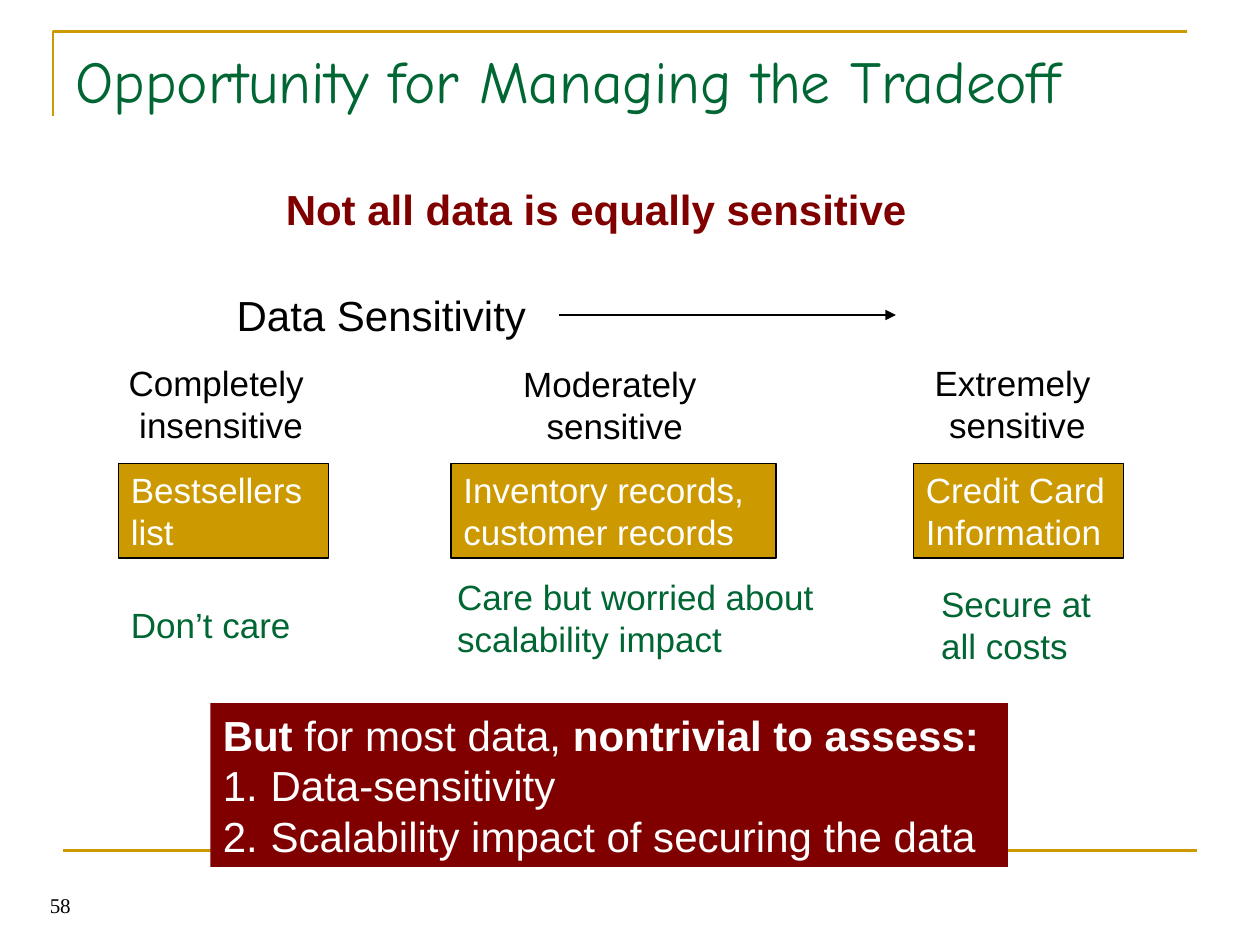
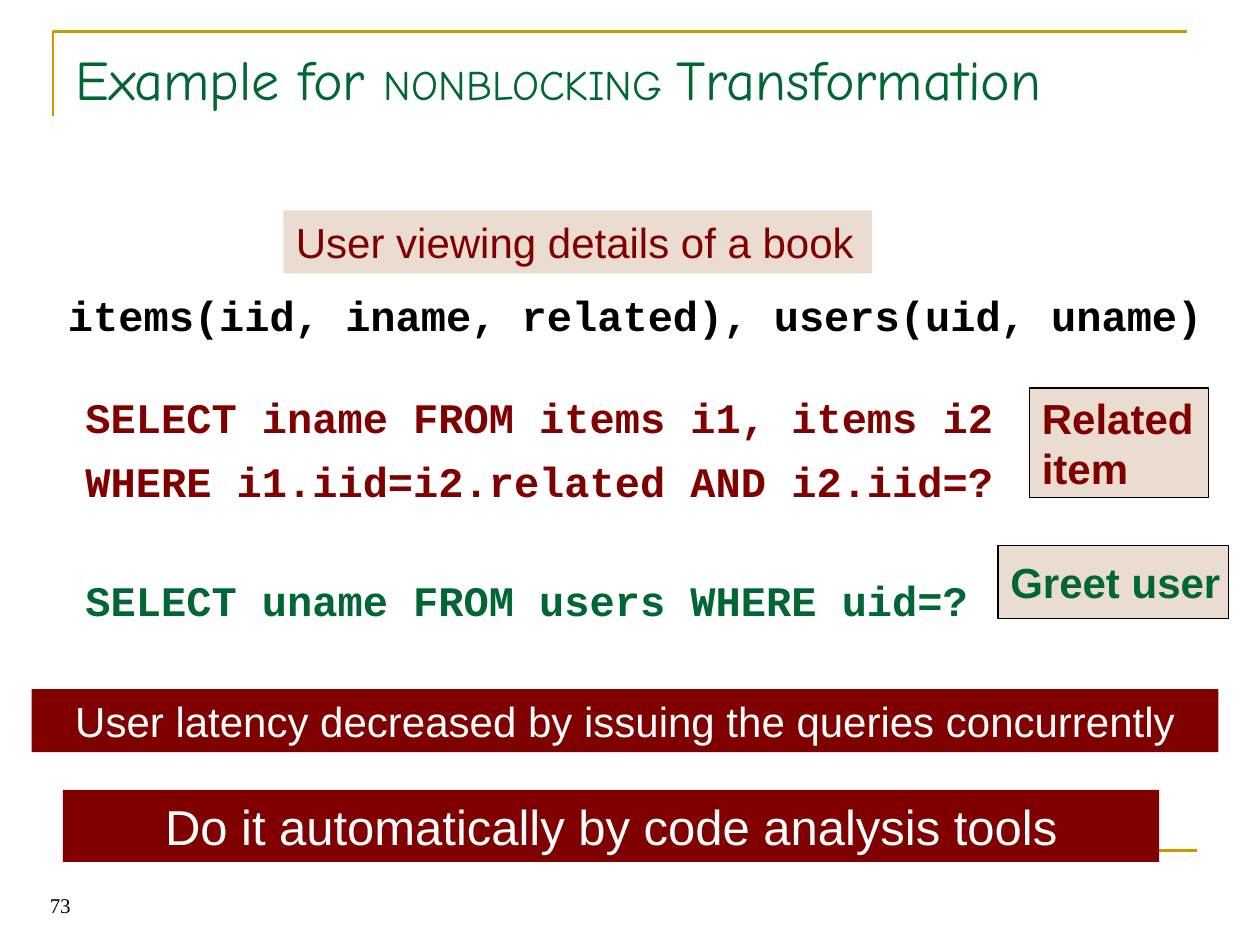
import pptx
import pptx.dml.color
import pptx.enum.shapes
import pptx.enum.text
import pptx.oxml.ns
import pptx.util
from lxml import etree

Inches = pptx.util.Inches
Pt = pptx.util.Pt
RGBColor = pptx.dml.color.RGBColor
ALIGN = pptx.enum.text.PP_ALIGN
ANCHOR = pptx.enum.text.MSO_ANCHOR
SHAPE = pptx.enum.shapes.MSO_SHAPE
CONNECTOR = pptx.enum.shapes.MSO_CONNECTOR

GOLD = RGBColor(0xCC, 0x99, 0x00)
GREEN = RGBColor(0x00, 0x66, 0x33)
MAROON = RGBColor(0x80, 0x00, 0x00)
SAND = RGBColor(0xEB, 0xDC, 0xD1)
BLACK = RGBColor(0x00, 0x00, 0x00)
WHITE = RGBColor(0xFF, 0xFF, 0xFF)

BODY = {"name": "Arial", "size": Pt(24), "bold": False}
SMALL = {**BODY, "size": Pt(20)}
STRONG = {**BODY, "bold": True}
CODE = {**STRONG, "name": "Courier New"}
TITLE = {**BODY, "name": "Comic Neue", "size": Pt(34)}
NUMBER = {**BODY, "name": "Times New Roman", "size": Pt(12)}

CENTERED = {"alignment": ALIGN.CENTER}


def apply(target, values):
    for name, value in values.items():
        setattr(target, name, value)


def add_child(parent, tag, **attributes):
    return etree.SubElement(parent, pptx.oxml.ns.qn(tag), attributes)


def write(box, paragraphs, font, color, layout=None, frame=None):
    """Fill a box; a paragraph is a string or a list of (text, font changes)."""
    apply(box.text_frame, {"word_wrap": True, "vertical_anchor": ANCHOR.TOP, **(frame or {})})
    for index, content in enumerate(paragraphs):
        para = box.text_frame.paragraphs[0] if index == 0 else box.text_frame.add_paragraph()
        apply(para, {"alignment": ALIGN.LEFT, **(layout or {})})
        for text, changes in [(content, {})] if isinstance(content, str) else content:
            span = para.add_run()
            span.text = text
            apply(span.font, {**font, **changes})
            span.font.color.rgb = color
    return box


def add_text(page, place, paragraphs, font, color, layout=None, frame=None):
    box = page.shapes.add_textbox(*map(Inches, place))
    return write(box, paragraphs, font, color, layout, frame)


def add_panel(page, place, fill, paragraphs, font, color, layout=None, frame=None, outlined=False):
    panel = page.shapes.add_shape(SHAPE.RECTANGLE, *map(Inches, place))
    panel.shadow.inherit = False
    panel.fill.solid()
    panel.fill.fore_color.rgb = fill
    if outlined:
        panel.line.color.rgb = BLACK
        panel.line.width = Pt(0.75)
    else:
        panel.line.fill.background()
    return write(panel, paragraphs, font, color, layout, frame)


def add_label(page, place, fill, paragraphs, font, color, outlined=True):
    """Add a panel whose lines never wrap and sit in its middle."""
    frame = {"word_wrap": False, "vertical_anchor": ANCHOR.MIDDLE}
    return add_panel(page, place, fill, paragraphs, font, color, frame=frame, outlined=outlined)


def add_rule(page, start, end, color):
    rule = page.shapes.add_connector(CONNECTOR.STRAIGHT, *map(Inches, (*start, *end)))
    rule.line.color.rgb = color
    rule.line.width = Pt(1.5)
    add_child(rule._element.spPr, "a:effectLst")
    return rule


def add_arrow(page, start, end, color):
    arrow = add_rule(page, start, end, color)
    add_child(arrow.line._get_or_add_ln(), "a:tailEnd", type="triangle")


def add_corner(page):
    builder = page.shapes.build_freeform(Inches(0.42), Inches(0.92))
    corner_points = [(0.42, 0.25), (9.42, 0.25)]
    builder.add_line_segments([tuple(map(Inches, point)) for point in corner_points], close=False)
    corner = builder.convert_to_shape()
    corner.shadow.inherit = False
    corner.fill.background()
    corner.line.color.rgb = GOLD
    corner.line.width = Pt(1.5)


def number_paragraphs(paragraphs):
    for para in paragraphs:
        properties = para._p.get_or_add_pPr()
        properties.set("marL", str(Inches(0.38)))
        properties.set("indent", str(-Inches(0.38)))
        add_child(properties, "a:buFont", typeface="Arial")
        add_child(properties, "a:buAutoNum", type="arabicPeriod")


def add_page(deck, title, number):
    page = deck.slides.add_slide(deck.slide_layouts[6])
    add_corner(page)
    add_rule(page, (0.5, 6.75), (9.5, 6.75), GOLD)
    add_text(page, (0.06, 6.83, 0.6, 0.5), [number], NUMBER, BLACK,
             {"alignment": ALIGN.RIGHT}, {"vertical_anchor": ANCHOR.BOTTOM})
    add_text(page, (0.5, 0.3, 9, 1.25), [title], TITLE, GREEN)
    return page


def build_tradeoff(deck):
    page = add_page(deck, "Opportunity for Managing the Tradeoff", "58")
    conclusion = add_panel(
        page, (1.67, 5.58, 6.33, 1.3), MAROON,
        [[("But ", {"bold": True}), ("for most data, ", {}), ("nontrivial to assess:", {"bold": True})],
         "Data-sensitivity", "Scalability impact of securing the data"],
        BODY, WHITE)
    number_paragraphs(conclusion.text_frame.paragraphs[1:])

    add_text(page, (1.78, 2.25, 2.5, 0.5), ["Data Sensitivity"], BODY, BLACK)
    add_arrow(page, (4.44, 2.5), (7.11, 2.5), BLACK)

    levels = [
        ((0.92, 2.82, 1.67, 0.77), ["Completely ", "insensitive"]),
        ((3.63, 2.83, 2.5, 0.77), ["Moderately ", "sensitive"]),
        ((7.27, 2.82, 1.61, 0.77), ["Extremely ", "sensitive"]),
    ]
    for place, lines in levels:
        add_text(page, place, lines, SMALL, BLACK, CENTERED)

    examples = [
        (0.94, 1.67, ["Bestsellers", "list"]),
        (3.58, 2.58, ["Inventory records,", "customer records"]),
        (7.25, 1.67, ["Credit Card", "Information"]),
    ]
    for left, width, lines in examples:
        add_label(page, (left, 3.68, width, 0.75), GOLD, lines, SMALL, WHITE)

    attitudes = [
        ((0.94, 4.74, 1.47, 0.44), ["Don’t care"]),
        ((3.53, 4.52, 3.31, 0.77), ["Care but worried about scalability impact"]),
        ((7.37, 4.57, 1.39, 0.77), ["Secure at", "all costs"]),
    ]
    for place, lines in attitudes:
        add_text(page, place, lines, SMALL, GREEN)

    add_text(page, (2.17, 1.33, 5.17, 0.58), ["Not all data is equally sensitive"],
             STRONG, MAROON, {"line_spacing": 1.2})


def build_nonblocking(deck):
    title = [("Example for ", {"size": Pt(32)}), ("NONBLOCKING ", {"size": Pt(24)}),
             ("Transformation", {"size": Pt(32)})]
    page = add_page(deck, title, "73")

    related_query = ["SELECT iname FROM items i1, items i2", "WHERE i1.iid=i2.related AND i2.iid=?"]
    query_box = add_text(page, (0.58, 3.06, 7.58, 1), related_query, CODE, MAROON)
    query_box.text_frame.paragraphs[1].space_before = Pt(7.5)
    add_text(page, (0.58, 4.51, 7.58, 0.5), ["SELECT uname FROM users WHERE uid=?"], CODE, GREEN)

    add_label(page, (8.17, 3.08, 1.42, 0.87), SAND, ["Related", "item"], STRONG, MAROON)
    add_label(page, (7.92, 4.33, 1.83, 0.58), SAND, ["Greet user"], STRONG, GREEN)
    add_label(page, (2.25, 1.67, 4.67, 0.5), SAND, ["User viewing details of a book"],
              BODY, MAROON, outlined=False)
    add_text(page, (0.33, 2.25, 9.42, 0.5), ["items(iid, iname, related), users(uid, uname)"],
             CODE, BLACK, CENTERED)

    add_panel(page, (0.25, 5.47, 9.42, 0.5), MAROON,
              ["User latency decreased by issuing the queries concurrently"], BODY, WHITE, CENTERED)
    add_panel(page, (0.5, 6.27, 8.7, 0.57), MAROON, ["Do it automatically by code analysis tools"],
              {**BODY, "size": Pt(28)}, WHITE, CENTERED)


def main():
    deck = pptx.Presentation()
    deck.slide_width, deck.slide_height = Inches(10), Inches(7.5)
    build_tradeoff(deck)
    build_nonblocking(deck)
    deck.save("out.pptx")


if __name__ == "__main__":
    main()
